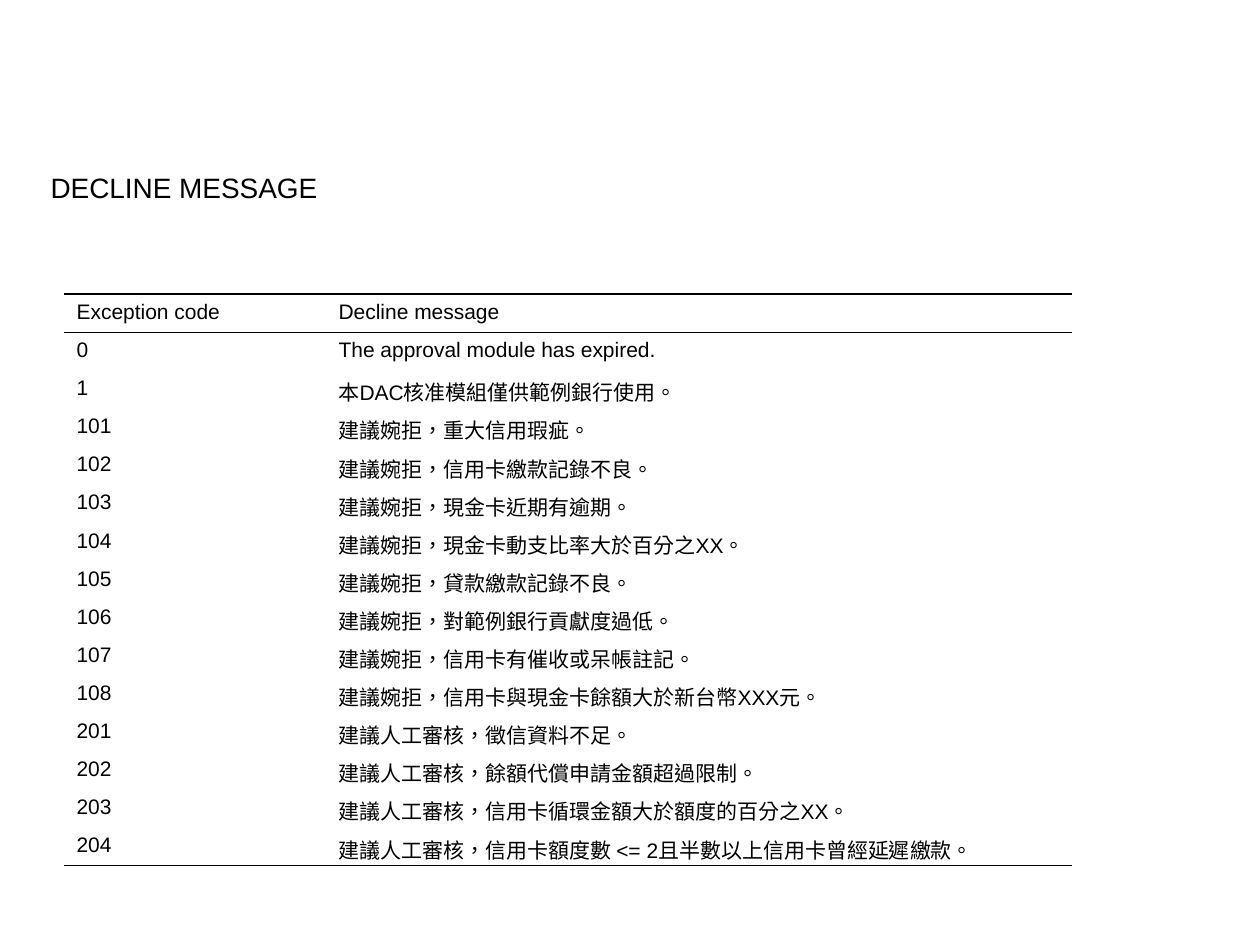
from lxml import etree
from pptx import Presentation
from pptx.dml.color import RGBColor
from pptx.enum.lang import MSO_LANGUAGE_ID
from pptx.enum.text import MSO_ANCHOR, MSO_AUTO_SIZE, PP_ALIGN
from pptx.oxml.ns import qn
from pptx.util import Emu, Pt

PX = 914400 // 126
BLACK = RGBColor(0, 0, 0)
TOP, LEFT = MSO_ANCHOR.TOP, PP_ALIGN.LEFT
FIT_SHAPE = MSO_AUTO_SIZE.SHAPE_TO_FIT_TEXT
CHINESE = MSO_LANGUAGE_ID.TRADITIONAL_CHINESE
OUTER_RULE, HEADER_RULE = 0.75, 0.45

MESSAGES = [
    ("Exception code", "Decline message"),
    ("0", "The approval module has expired."),
    ("1", "本DAC核准模組僅供範例銀行使用。"),
    ("101", "建議婉拒，重大信用瑕疵。"),
    ("102", "建議婉拒，信用卡繳款記錄不良。"),
    ("103", "建議婉拒，現金卡近期有逾期。"),
    ("104", "建議婉拒，現金卡動支比率大於百分之XX。"),
    ("105", "建議婉拒，貸款繳款記錄不良。"),
    ("106", "建議婉拒，對範例銀行貢獻度過低。"),
    ("107", "建議婉拒，信用卡有催收或呆帳註記。"),
    ("108", "建議婉拒，信用卡與現金卡餘額大於新台幣XXX元。"),
    ("201", "建議人工審核，徵信資料不足。"),
    ("202", "建議人工審核，餘額代償申請金額超過限制。"),
    ("203", "建議人工審核，信用卡循環金額大於額度的百分之XX。"),
    ("204", "建議人工審核，信用卡額度數 <= 2且半數以上信用卡曾經延遲繳款。"),
]


class SlideBuilder:
    font_name = "Arial"
    color = BLACK

    def __init__(self, slide):
        self.slide = slide

    def format_paragraph(self, paragraph, size):
        paragraph.alignment = LEFT
        font = paragraph.font
        font.name, font.size = self.font_name, Pt(size)
        font.color.rgb = self.color
        font.language_id = CHINESE

    def title(self, text, left, top, width, height, size):
        shape = self.slide.shapes.title
        shape.left, shape.top = Emu(left * PX), Emu(top * PX)
        shape.width, shape.height = Emu(width * PX), Emu(height * PX)
        frame = shape.text_frame
        frame.text = text
        frame.word_wrap = True
        frame.auto_size = FIT_SHAPE
        frame.vertical_anchor = TOP
        self.format_paragraph(frame.paragraphs[0], size)

    def border(self, cell, side, width):
        properties = cell._tc.get_or_add_tcPr()
        line = etree.SubElement(properties, qn(f"a:ln{side}"))
        if not width:
            etree.SubElement(line, qn("a:noFill"))
            return
        line.set("w", str(Pt(width)))
        fill = etree.SubElement(line, qn("a:solidFill"))
        etree.SubElement(fill, qn("a:srgbClr"), val=str(self.color))

    def table(self, rows, left, top, column_widths, height, size):
        table = self.slide.shapes.add_table(
            len(rows), len(column_widths), Emu(left * PX), Emu(top * PX),
            Emu(sum(column_widths) * PX), Emu(height * PX)).table
        table.first_row = table.horz_banding = False
        for column, width in zip(table.columns, column_widths):
            column.width = Emu(width * PX)

        # Horizontal rules by the index of the row below them
        rules = {0: OUTER_RULE, 1: HEADER_RULE, len(rows): OUTER_RULE}
        for row_index, values in enumerate(rows):
            for column_index, value in enumerate(values):
                cell = table.cell(row_index, column_index)
                cell.text = value
                self.format_paragraph(cell.text_frame.paragraphs[0], size)
                self.border(cell, "L", None)
                self.border(cell, "R", None)
                self.border(cell, "T", rules.get(row_index))
                self.border(cell, "B", rules.get(row_index + 1))
                cell.fill.background()


def main():
    presentation = Presentation()
    presentation.slide_width = Emu(1260 * PX)
    presentation.slide_height = Emu(945 * PX)
    title_only = presentation.slide_layouts[5]
    builder = SlideBuilder(presentation.slides.add_slide(title_only))

    # Heading
    builder.title("DECLINE MESSAGE", 38, 164, 1170, 47, 16)

    # Codes and their messages
    builder.table(MESSAGES, 64, 294, (262, 746), 572, 12)

    presentation.save("out.pptx")


if __name__ == "__main__":
    main()
